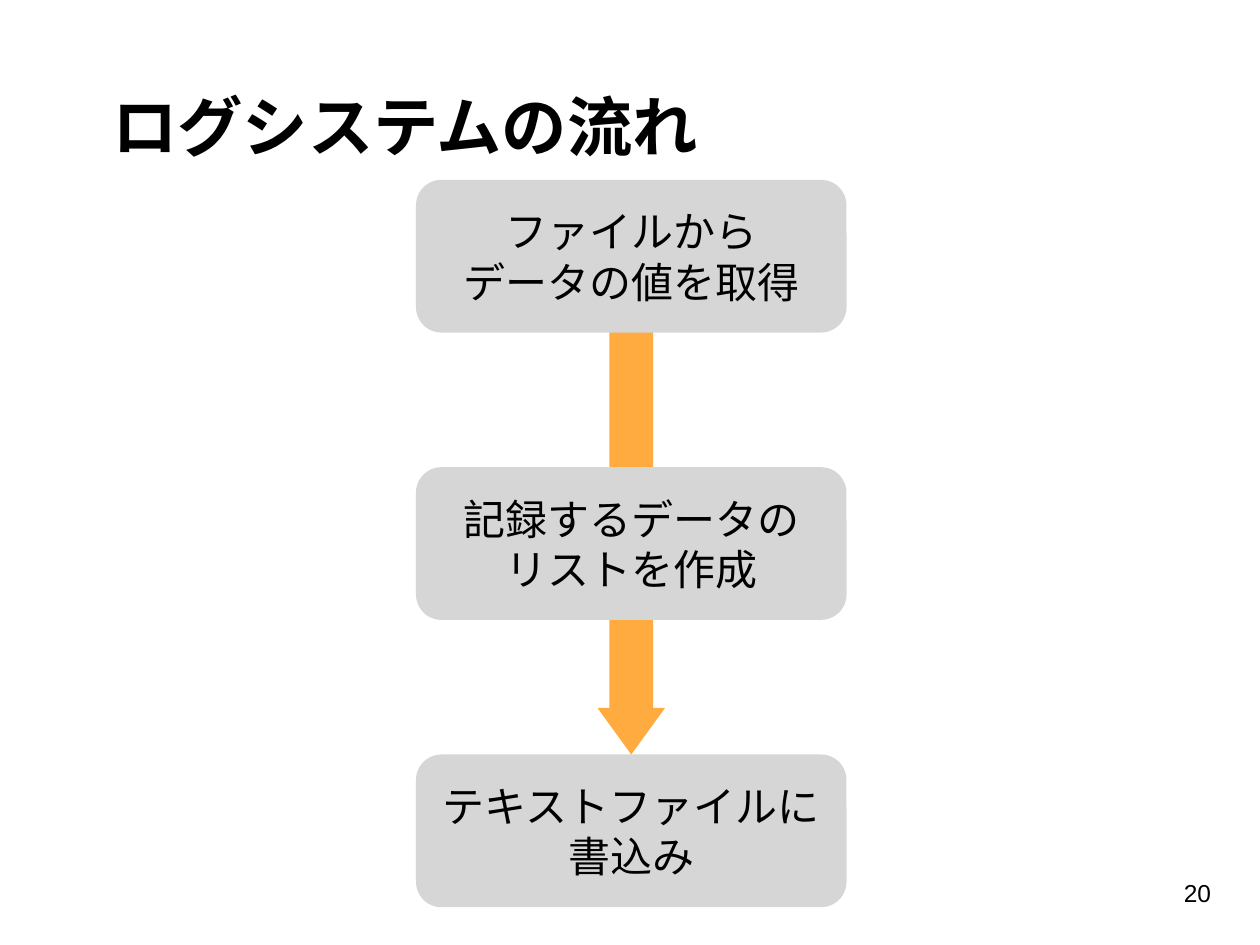
import pptx
import pptx.dml.color
import pptx.enum.shapes
import pptx.enum.text
import pptx.oxml.ns
import pptx.util
from lxml import etree
from pptx.util import Cm

SHAPE = pptx.enum.shapes.MSO_SHAPE
ALIGN = pptx.enum.text.PP_ALIGN
ANCHOR = pptx.enum.text.MSO_ANCHOR

STEPS = [
    "ファイルから\nデータの値を取得",
    "記録するデータの\nリストを作成",
    "テキストファイルに\n書込み",
]


def paint(colour_format, hex_colour):
    """Give a fill or font colour a solid hex colour."""
    colour_format.solid()
    colour_format.fore_color.rgb = pptx.dml.color.RGBColor.from_string(hex_colour)


def write(frame, text, font_name, size, align, anchor, inset, bold=False):
    """Fill a text frame and format all its runs alike."""
    frame.text = text
    frame.word_wrap = True
    frame.vertical_anchor = anchor
    frame.margin_left = frame.margin_right = Cm(inset)
    frame.margin_top = frame.margin_bottom = Cm(inset)
    for paragraph in frame.paragraphs:
        paragraph.alignment = align
        for run in paragraph.runs:
            run.font.name = font_name
            run.font.size = pptx.util.Pt(size)
            run.font.bold = bold
            paint(run.font.fill, "000000")
            east_asian = etree.SubElement(run.font._element, pptx.oxml.ns.qn("a:ea"))
            east_asian.set("typeface", font_name)


def add_block(slide, preset, left, top, width, height, hex_colour):
    """Add a flat preset shape without an outline."""
    block = slide.shapes.add_shape(preset, Cm(left), Cm(top), Cm(width), Cm(height))
    block.shadow.inherit = False
    block.line.fill.background()
    paint(block.fill, hex_colour)
    return block


def add_heading(slide, text, left, top, width, height):
    """Place the title in its placeholder."""
    title = slide.shapes.title
    title.left, title.top = Cm(left), Cm(top)
    title.width, title.height = Cm(width), Cm(height)
    write(title.text_frame, text, "Noto Sans CJK JP", 28,
          ALIGN.LEFT, ANCHOR.TOP, 0.18, bold=True)


def add_flow(slide, steps, left, top, width, height):
    """Stack the steps evenly in the box, joined by one arrow behind them."""
    step_height = 2.31
    pitch = (height - step_height) / (len(steps) - 1)
    arrow_width = 1.02
    arrow = add_block(slide, SHAPE.DOWN_ARROW,
                      left + (width - arrow_width) / 2, top + step_height / 2,
                      arrow_width, height - 1.5 * step_height, "FFAB40")
    arrow.adjustments[0] = 0.65
    arrow.adjustments[1] = 0.69
    for index, text in enumerate(steps):
        step = add_block(slide, SHAPE.ROUNDED_RECTANGLE, left, top + index * pitch,
                         width, step_height, "D6D6D6")
        write(step.text_frame, text, "Calibri", 18, ALIGN.CENTER, ANCHOR.MIDDLE, 0.13)


def add_page_number(slide, number, left, top, width, height):
    """Write the page number in the corner."""
    page = slide.shapes.add_textbox(Cm(left), Cm(top), Cm(width), Cm(height))
    write(page.text_frame, number, "Arial", 10.5, ALIGN.LEFT, ANCHOR.MIDDLE, 0.25)


def main():
    """Build and save the slide."""
    deck = pptx.Presentation()
    deck.slide_width, deck.slide_height = Cm(19.05), Cm(14.29)
    slide = deck.slides.add_slide(deck.slide_layouts[5])
    paint(slide.background.fill, "FFFFFF")
    add_heading(slide, "ログシステムの流れ", 1.52, 1.12, 17.3, 1.19)
    add_flow(slide, STEPS, 6.29, 2.72, 6.51, 11)
    add_page_number(slide, "20", 17.65, 12.95, 1.15, 1.09)
    deck.save("out.pptx")


if __name__ == "__main__":
    main()
